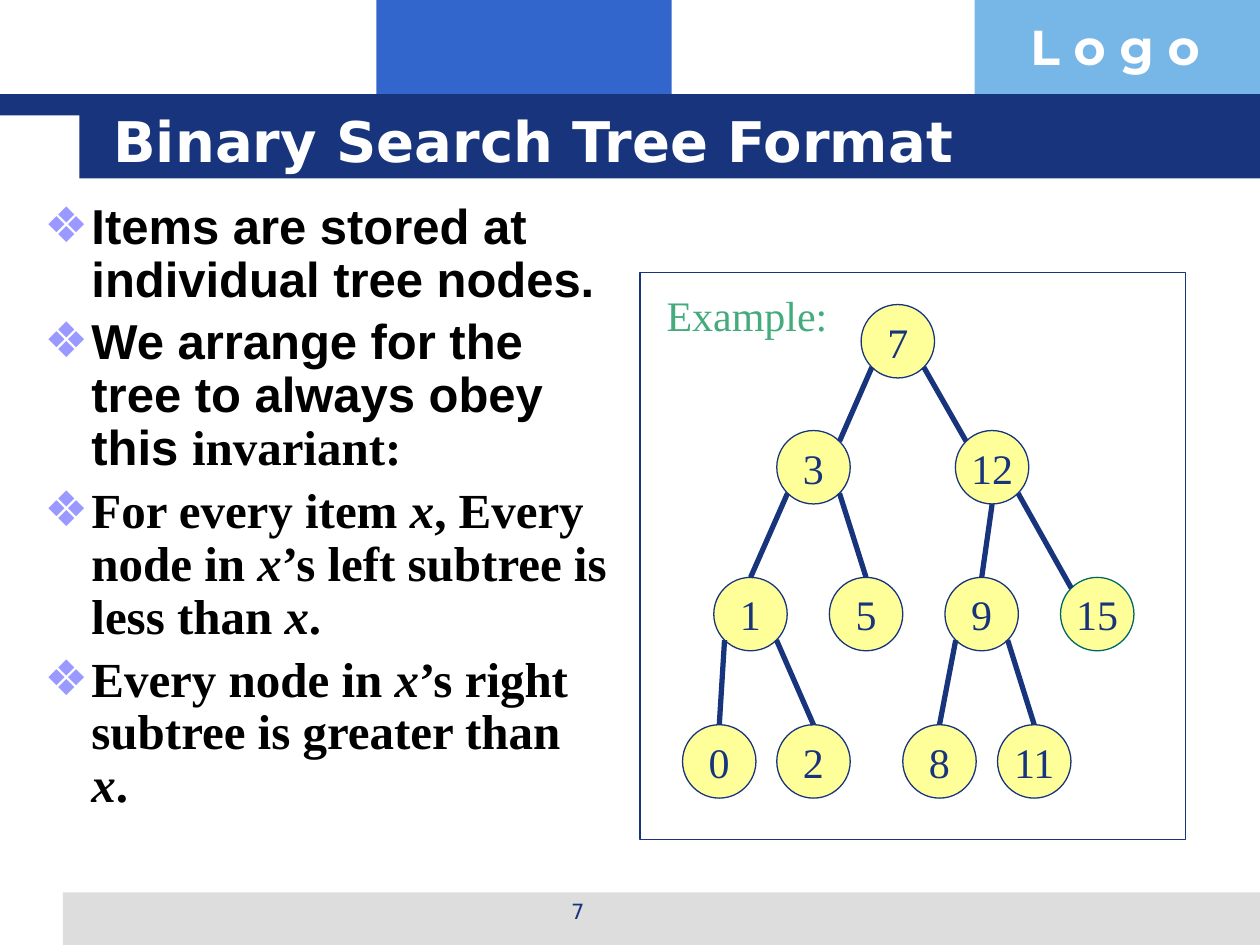
import math

import lxml.etree
import pptx
import pptx.dml.color
import pptx.enum.shapes
import pptx.enum.text
import pptx.oxml.ns
import pptx.util

Cm, Pt = pptx.util.Cm, pptx.util.Pt
qn = pptx.oxml.ns.qn
SHAPE = pptx.enum.shapes.MSO_SHAPE
ALIGN = pptx.enum.text.PP_ALIGN
ANCHOR = pptx.enum.text.MSO_ANCHOR

COLORS = {
    "navy": "17347D", "blue": "3366CC", "sky": "77B7E7", "grey": "DDDDDD",
    "white": "FFFFFF", "black": "000000", "yellow": "FFFF99",
    "teal": "006666", "green": "45AB7D", "bullet": "9999FF",
}
SANS, SERIF, HEAD, LOGO = "Arial", "Times New Roman", "DejaVu Sans", "Montserrat"

TITLE = "Binary Search Tree Format"
BULLETS = [
    [("Items are stored at individual tree nodes.", SANS, False)],
    [("We arrange for the tree to always obey this ", SANS, False),
     ("invariant:", SERIF, False)],
    [("For every item ", SERIF, False), ("x", SERIF, True),
     (", Every node in ", SERIF, False), ("x", SERIF, True),
     ("’s left subtree is less than ", SERIF, False), ("x", SERIF, True),
     (".", SERIF, False)],
    [("Every node in ", SERIF, False), ("x", SERIF, True),
     ("’s right subtree is greater than ", SERIF, False), ("x", SERIF, True),
     (".", SERIF, False)],
]
BARS = [
    ("blue", 7.59, 0, 5.95, 2.33),
    ("sky", 19.65, 0, 5.75, 2.33),
    ("grey", 1.27, 17.99, 24.13, 1.06),
    ("navy", 0, 1.9, 25.4, 0.43),
    ("navy", 1.6, 1.9, 23.8, 1.7),
]
DIAMETER = 1.48
ROW_TOPS = [6.14, 8.68, 11.64, 14.61]
NODES = {
    7: (17.36, 0), 3: (15.66, 1), 12: (19.26, 1),
    1: (14.39, 2), 5: (16.72, 2), 9: (19.05, 2), 15: (21.38, 2),
    0: (13.76, 3), 2: (15.66, 3), 8: (18.2, 3), 11: (20.11, 3),
}
ANGLES = {"top": 270, "bottom": 90, "top left": 225, "top right": 315,
          "bottom left": 135, "bottom right": 45}
EDGES = [
    (7, "bottom left", 3, "top right"), (7, "bottom right", 12, "top left"),
    (12, "bottom", 9, "top"), (12, "bottom right", 15, "top left"),
    (9, "bottom right", 11, "top"), (9, "bottom left", 8, "top"),
    (3, "bottom right", 5, "top"), (3, "bottom left", 1, "top"),
    (1, "bottom left", 0, "top"), (1, "bottom right", 2, "top"),
]


def rgb(name):
    return pptx.dml.color.RGBColor.from_string(COLORS[name])


def style(r, font, size, color, bold=False, italic=False):
    r.font.name, r.font.size = font, Pt(size)
    r.font.bold, r.font.italic = bold, italic
    r.font.color.rgb = rgb(color)


def place(sp, left, top, width, height):
    sp.left, sp.top, sp.width, sp.height = map(Cm, (left, top, width, height))


def add_shape(s, kind, box, fill, line=None):
    sp = s.shapes.add_shape(kind, *map(Cm, box))
    sp.shadow.inherit = False
    sp.fill.solid()
    sp.fill.fore_color.rgb = rgb(fill)
    if line:
        sp.line.color.rgb = rgb(line)
        sp.line.width = Pt(0.75)
    else:
        sp.line.fill.background()
    return sp


def write(sp, text, font, size, color, bold=False, align=ALIGN.LEFT, wrap=True):
    tf = sp.text_frame
    tf.text = text
    tf.word_wrap = wrap
    p = tf.paragraphs[0]
    p.alignment = align
    style(p.runs[0], font, size, color, bold)
    return tf


def add_label(s, box, *args, **kwargs):
    return write(s.shapes.add_textbox(*map(Cm, box)), *args, **kwargs)


def add_bullet(p, parts):
    p.line_spacing, p.space_before = 0.9, Pt(5.6)
    pPr = p._p.get_or_add_pPr()
    pPr.set("marL", str(Cm(0.95)))
    pPr.set("indent", str(-Cm(0.95)))
    clr = lxml.etree.SubElement(pPr, qn("a:buClr"))
    lxml.etree.SubElement(clr, qn("a:srgbClr"), val=COLORS["bullet"])
    lxml.etree.SubElement(pPr, qn("a:buChar"), char="❖")
    for text, font, italic in parts:
        r = p.add_run()
        r.text = text
        style(r, font, 28, "black", True, italic)


def rim_point(node, site):
    left, row = NODES[node]
    radius, angle = DIAMETER / 2, math.radians(ANGLES[site])
    return (Cm(left + radius + radius * math.cos(angle)),
            Cm(ROW_TOPS[row] + radius + radius * math.sin(angle)))


def add_edge(s, parent, start, child, end):
    line = s.shapes.add_connector(
        pptx.enum.shapes.MSO_CONNECTOR.STRAIGHT,
        *rim_point(parent, start), *rim_point(child, end))
    line.line.color.rgb = rgb("navy")
    line.line.width = Pt(3)
    lxml.etree.SubElement(line._element.spPr, qn("a:effectLst"))


def main():
    prs = pptx.Presentation()
    prs.slide_width, prs.slide_height = Cm(25.4), Cm(19.05)
    s = prs.slides.add_slide(prs.slide_layouts[1])
    title, body = s.placeholders

    for color, *box in BARS:
        add_shape(s, SHAPE.RECTANGLE, box, color)
    add_label(s, (20.52, 0.2, 4.9, 1.45), "L o g o", LOGO, 28, "white", True)
    add_label(s, (8.69, 17.98, 5.92, 0.89), "7", HEAD, 12, "navy", align=ALIGN.CENTER)
    add_shape(s, SHAPE.RECTANGLE, (12.9, 5.5, 11, 11.43), "white", "navy")

    for sp in (title, body):
        s.shapes._spTree.append(sp._element)
    place(title, 2.03, 2.03, 21.67, 1.57)
    tf = write(title, TITLE, HEAD, 32, "white", True)
    tf.vertical_anchor = ANCHOR.MIDDLE
    tf.auto_size = pptx.enum.text.MSO_AUTO_SIZE.NONE

    place(body, 0.64, 3.94, 11.86, 13.56)
    tf = body.text_frame
    tf.auto_size = pptx.enum.text.MSO_AUTO_SIZE.NONE
    for i, parts in enumerate(BULLETS):
        add_bullet(tf.add_paragraph() if i else tf.paragraphs[0], parts)

    for value, (left, row) in NODES.items():
        sp = add_shape(s, SHAPE.OVAL, (left, ROW_TOPS[row], DIAMETER, DIAMETER),
                       "yellow", "teal" if value == 15 else "navy")
        tf = write(sp, str(value), SERIF, 24, "navy", align=ALIGN.CENTER, wrap=False)
        tf.vertical_anchor = ANCHOR.MIDDLE
    for edge in EDGES:
        add_edge(s, *edge)
    add_label(s, (13.18, 5.72, 3.76, 1.27), "Example:", SERIF, 24, "green",
              align=ALIGN.CENTER, wrap=False)

    prs.save("out.pptx")


if __name__ == "__main__":
    main()
